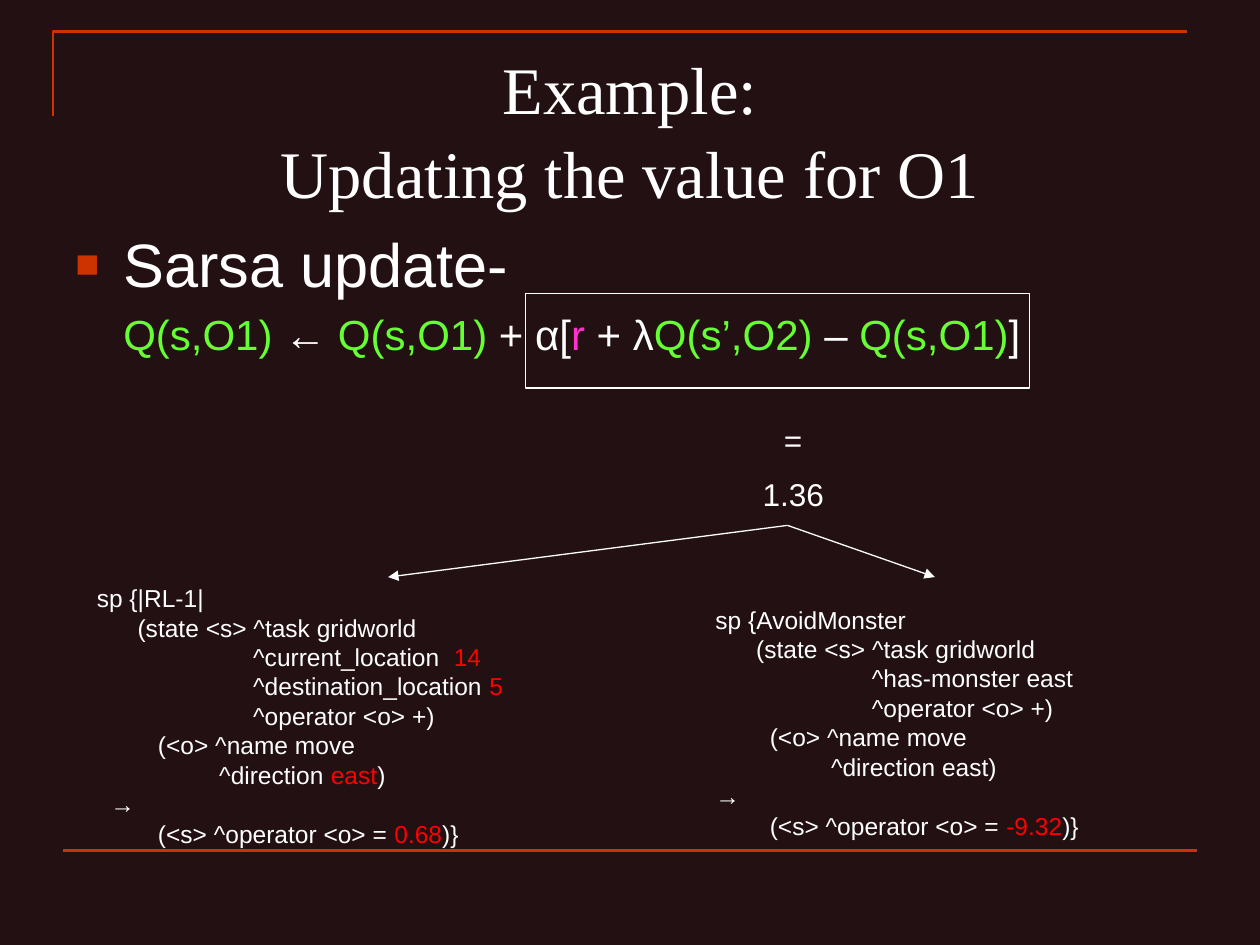
from lxml import etree
from pptx import Presentation, util as u
from pptx.dml.color import RGBColor
from pptx.enum import shapes, text
from pptx.oxml import ns

THEME = {
    "background": "221013", "rule": "CC3300", "text": "FFFFFF",
    "value": "66FF33", "reward": "FF33CC", "change": "FF0000",
    "heading_font": "Times New Roman", "body_font": "Arial",
    "title": 38, "bullet": 35, "formula": 24, "result": 18, "code": 14,
    "rule_width": 1.5, "line_width": 0.75,
}

TITLE = [["Example:\vUpdating the value for O1"]]
BULLET = [["Sarsa update-"]]
FORMULA = [[
    ("Q(s,O1) ", "value"), "← ", ("Q(s,O1)", "value"), " + α[",
    ("r", "reward"), " + λ", ("Q(s’,O2)", "value"), " – ",
    ("Q(s,O1)", "value"), "]",
]]
RESULT = [["="], ["1.36"]]
RULES = [
    ((0.67, 4.58, 5, 2.2), [
        ["sp {|RL-1|"],
        ["      (state <s> ^task gridworld"],
        ["                       ^current_location  ", ("14", "change")],
        ["                       ^destination_location ", ("5", "change")],
        ["                       ^operator <o> +)"],
        ["         (<o> ^name move"],
        ["                  ^direction ", ("east", "change"), ")"],
        ["  →"],
        ["         (<s> ^operator <o> = ", ("0.68", "change"), ")}"],
    ]),
    ((5.58, 4.75, 3.33, 1.97), [
        ["sp {AvoidMonster"],
        ["      (state <s> ^task gridworld"],
        ["                       ^has-monster east"],
        ["                       ^operator <o> +)"],
        ["        (<o> ^name move"],
        ["                 ^direction east)"],
        ["→"],
        ["        (<s> ^operator <o> = ", ("-9.32", "change"), ")}"],
    ]),
]
CORNER = [(0.42, 0.92), (0.42, 0.25), (9.42, 0.25)]
FOOT_RULE = ((0.5, 6.75), (9.5, 6.75))
FORMULA_FRAME = (4.17, 2.33, 4, 0.75)
ARROW_START = (6.25, 4.17)
ARROW_ENDS = [(3.08, 4.58), (7.42, 4.58)]


def colour(key):
    return RGBColor.from_string(THEME[key])


def inches(values):
    return [u.Inches(value) for value in values]


def write(frame, paragraphs, size, font="body_font", align=text.PP_ALIGN.LEFT,
          spacing=1.0, gap=0, bullet=False):
    frame.word_wrap = True
    frame.auto_size = text.MSO_AUTO_SIZE.NONE
    frame.vertical_anchor = text.MSO_ANCHOR.TOP
    for index, parts in enumerate(paragraphs):
        line = frame.add_paragraph() if index else frame.paragraphs[0]
        line.alignment = align
        line.line_spacing = spacing
        line.space_before = u.Pt(gap if index else 0)
        if bullet:
            add_bullet(line)
        for part in parts:
            words, shade = (part, "text") if isinstance(part, str) else part
            for number, piece in enumerate(words.split("\v")):
                if number:
                    line.add_line_break()
                run = line.add_run()
                run.text = piece
                run.font.size = u.Pt(THEME[size])
                run.font.name = THEME[font]
                run.font.color.rgb = colour(shade)


def add_bullet(line):
    properties = line._p.get_or_add_pPr()
    properties.set("marL", str(u.Inches(0.38)))
    properties.set("indent", str(u.Inches(-0.38)))
    shade = etree.SubElement(properties, ns.qn("a:buClr"))
    etree.SubElement(shade, ns.qn("a:srgbClr"), val=THEME["rule"])
    etree.SubElement(properties, ns.qn("a:buSzPct"), val="65000")
    etree.SubElement(properties, ns.qn("a:buFont"), typeface=THEME["body_font"])
    etree.SubElement(properties, ns.qn("a:buChar"), char="■")


def add_text(slide, place, paragraphs, size, **style):
    box = slide.shapes.add_textbox(*inches(place))
    write(box.text_frame, paragraphs, size, **style)


def add_line(slide, start, end, shade, width, arrow=False):
    line = slide.shapes.add_connector(
        shapes.MSO_CONNECTOR.STRAIGHT, *inches(start + end))
    line.line.color.rgb = colour(shade)
    line.line.width = u.Pt(THEME[width])
    if arrow:
        etree.SubElement(line.line._get_or_add_ln(), ns.qn("a:tailEnd"), type="triangle")
    etree.SubElement(line._element.spPr, ns.qn("a:effectLst"))


def outline(shape, shade, width):
    shape.shadow.inherit = False
    shape.fill.background()
    shape.line.color.rgb = colour(shade)
    shape.line.width = u.Pt(THEME[width])


def main():
    deck = Presentation()
    deck.slide_width, deck.slide_height = inches((10, 7.5))
    slide = deck.slides.add_slide(deck.slide_layouts[5])
    slide.background.fill.solid()
    slide.background.fill.fore_color.rgb = colour("background")

    corner_points = [tuple(inches(point)) for point in CORNER]
    builder = slide.shapes.build_freeform(*corner_points[0])
    builder.add_line_segments(corner_points[1:], close=False)
    outline(builder.convert_to_shape(), "rule", "rule_width")
    add_line(slide, *FOOT_RULE, "rule", "rule_width")

    title = slide.shapes.title
    title.left, title.top, title.width, title.height = inches((0.5, 0.3, 9, 1.25))
    write(title.text_frame, TITLE, "title", font="heading_font",
          align=text.PP_ALIGN.CENTER, spacing=1.05)

    add_text(slide, (0.5, 1.75, 9, 0.7), BULLET, "bullet", bullet=True)
    add_text(slide, (0.88, 2.4, 8.62, 0.6), FORMULA, "formula")
    frame = slide.shapes.add_shape(shapes.MSO_SHAPE.RECTANGLE, *inches(FORMULA_FRAME))
    outline(frame, "text", "line_width")

    add_text(slide, (5.17, 3.33, 2.25, 0.8), RESULT, "result",
             align=text.PP_ALIGN.CENTER, spacing=0.9, gap=11.2)
    for end in ARROW_ENDS:
        add_line(slide, ARROW_START, end, "text", "line_width", arrow=True)
    for place, code in RULES:
        add_text(slide, place, code, "code")

    deck.save("out.pptx")


if __name__ == "__main__":
    main()
